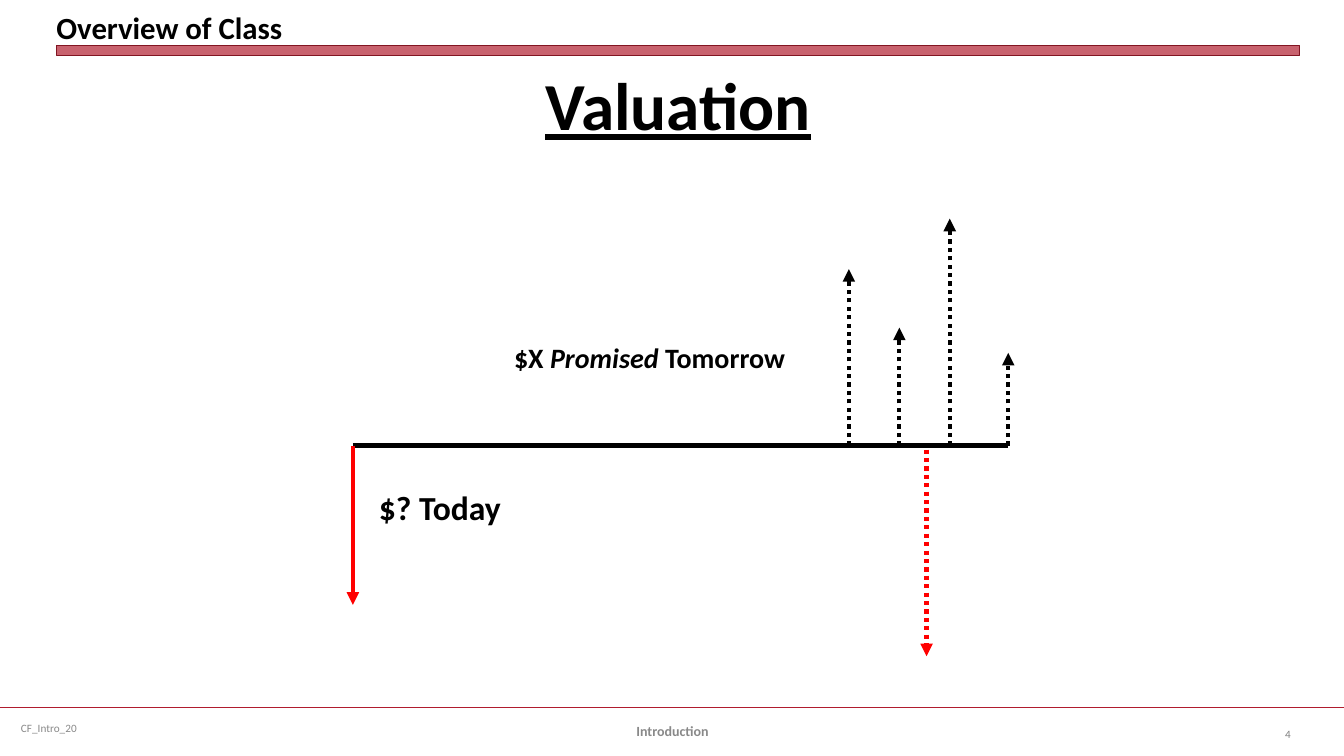
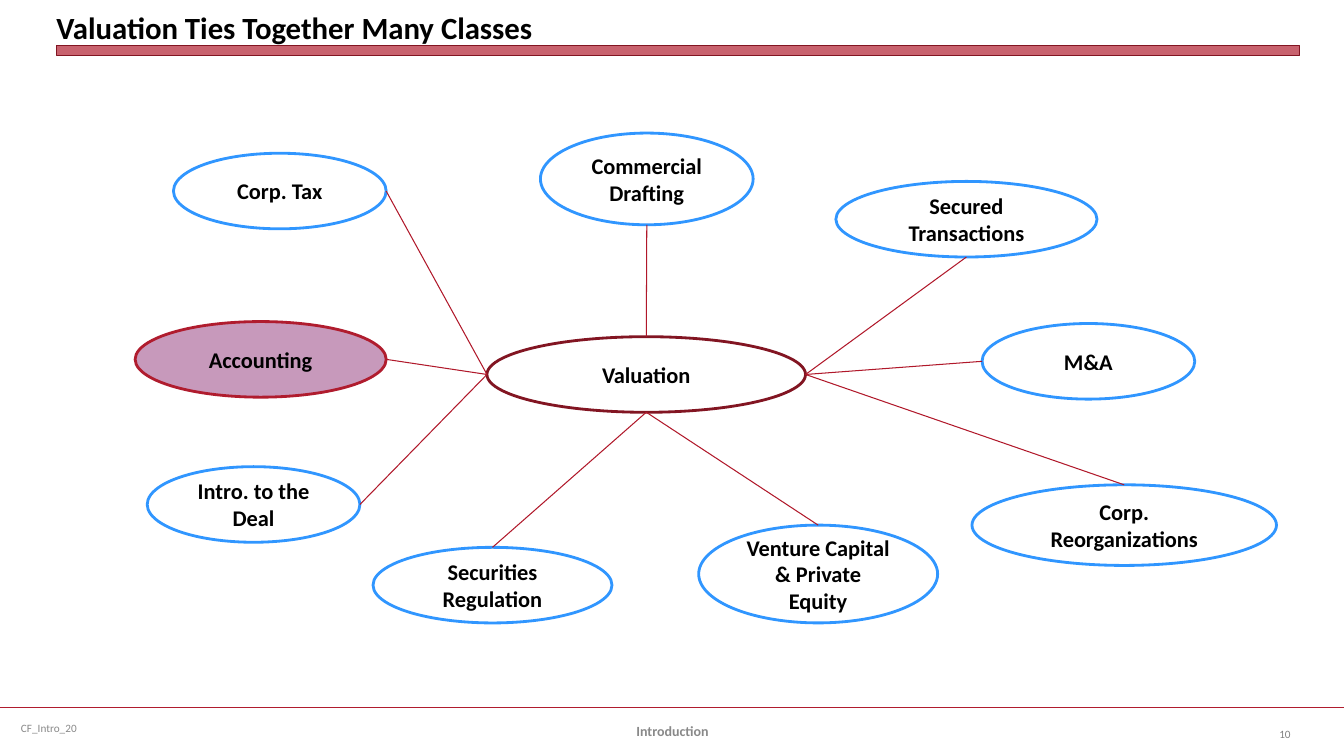
from lxml import etree
from pptx import Presentation
from pptx.dml.color import RGBColor
from pptx.enum import dml, shapes, text
from pptx.oxml.ns import qn
from pptx.util import Inches, Pt

BLACK = RGBColor(0x00, 0x00, 0x00)
RED = RGBColor(0xFF, 0x00, 0x00)
CRIMSON = RGBColor(0xB0, 0x1C, 0x2E)
LINK_RED = RGBColor(0xB0, 0x18, 0x2A)
MAROON = RGBColor(0x82, 0x15, 0x22)
BLUE = RGBColor(0x30, 0x96, 0xFF)
MAUVE = RGBColor(0xC7, 0x99, 0xBB)
FOOTER_GRAY = RGBColor(0x89, 0x89, 0x89)
NUMBER_GRAY = RGBColor(0x80, 0x80, 0x80)
LEFT, CENTER, RIGHT = text.PP_ALIGN.LEFT, text.PP_ALIGN.CENTER, text.PP_ALIGN.RIGHT
MIDDLE, BOTTOM = text.MSO_ANCHOR.MIDDLE, text.MSO_ANCHOR.BOTTOM
DOTTED = dml.MSO_LINE.ROUND_DOT

FONT = "Calibri"
WIDTH, HEIGHT = 13.33, 7.5
MARGIN, CONTENT_WIDTH = 0.56, 12.33

TITLE_FORMAT = {"size": Pt(22), "bold": True}
HEADING_FORMAT = {"size": Pt(48), "bold": True, "underline": True}
TODAY_FORMAT = {"size": Pt(24), "bold": True}
PROMISE_FORMAT = {"size": Pt(20), "bold": True}
CLASS_FORMAT = {"size": Pt(16), "bold": True}
SMALL_FORMAT = {"size": Pt(8)}
FOOTER_FORMAT = {"size": Pt(10), "bold": True}

AXIS_Y, TODAY_X, END_X = 4.42, 3.5, 10
PROMISED_FLOWS = [(8.42, 2.67), (8.92, 3.25), (9.42, 2.17), (END_X, 3.5)]
COST_X, COST_TOP, COST_BOTTOM = 9.19, 4.46, 6.51

VALUATION_BOX = (4.83, 3.34, 3.16, 0.75)
CLASSES = [
    ("M&A", (9.74, 3.21, 2.11, 0.75), "right", "left"),
    ("Corp. Reorganizations", (9.64, 4.81, 3.02, 0.8), "right", "top"),
    ("Securities Regulation", (3.7, 5.43, 2.37, 0.75), "bottom", "top"),
    ("Accounting", (1.34, 3.19, 2.49, 0.75), "left", "right"),
    ("Commercial\nDrafting", (5.36, 1.32, 2.11, 0.91), "top", "bottom"),
    ("Corp. Tax", (1.72, 1.52, 2.11, 0.75), "left", "right"),
    ("Intro. to the Deal", (1.46, 4.63, 2.11, 0.75), "left", "right"),
    ("Secured Transactions", (8.29, 1.8, 2.59, 0.75), "right", "bottom"),
    ("Venture Capital & Private Equity", (6.93, 5.21, 2.37, 0.97), "bottom", "top"),
]
HIGHLIGHTED = "Accounting"
SIDES = {"left": (0, 0.5), "right": (1, 0.5), "top": (0.5, 0), "bottom": (0.5, 1)}


def inches(values):
    return [Inches(value) for value in values]


def write(frame, content, formats, color=BLACK, align=LEFT):
    frame.text = content
    for paragraph in frame.paragraphs:
        paragraph.alignment = align
        for run in paragraph.runs:
            run.font.name = FONT
            run.font.color.rgb = color
            for name, value in formats.items():
                setattr(run.font, name, value)


def add_text(slide, box, content, formats, color=BLACK, align=LEFT, anchor=None, wrap=True):
    frame = slide.shapes.add_textbox(*inches(box)).text_frame
    frame.word_wrap = wrap
    frame.vertical_anchor = anchor
    write(frame, content, formats, color, align)
    return frame


def add_line(slide, start, end, color, width, dash=None, arrow=False):
    connector = slide.shapes.add_connector(
        shapes.MSO_CONNECTOR.STRAIGHT, *inches((*start, *end)))
    connector.line.color.rgb = color
    connector.line.width = Pt(width)
    if dash:
        connector.line.dash_style = dash
    properties = connector._element.spPr
    if arrow:
        etree.SubElement(properties.find(qn("a:ln")), qn("a:tailEnd"), type="triangle")
    etree.SubElement(properties, qn("a:effectLst"))


def add_shape(slide, kind, box, outline, width, fill=None):
    shape = slide.shapes.add_shape(kind, *inches(box))
    shape.shadow.inherit = False
    if fill is None:
        shape.fill.background()
    else:
        shape.fill.solid()
        shape.fill.fore_color.rgb = fill
    shape.line.color.rgb = outline
    shape.line.width = Pt(width)
    return shape


def add_class(slide, content, box, outline, fill=None):
    shape = add_shape(slide, shapes.MSO_SHAPE.OVAL, box, outline, 2, fill)
    write(shape.text_frame, content, CLASS_FORMAT, align=CENTER)


def side_point(box, side):
    left, top, width, height = box
    across, down = SIDES[side]
    return left + across * width, top + down * height


def add_slide(presentation, title, number):
    slide = presentation.slides.add_slide(presentation.slide_layouts[5])
    add_line(slide, (0, 7.02), (WIDTH, 7.02), CRIMSON, 1.25)
    band = add_shape(slide, shapes.MSO_SHAPE.RECTANGLE,
                     (MARGIN, 0.45, CONTENT_WIDTH, 0.1), MAROON, 0.25, CRIMSON)
    band_color = band._element.spPr.find(qn("a:solidFill"))[0]
    etree.SubElement(band_color, qn("a:alpha"), val="69000")

    placeholder = slide.shapes.title
    box = inches((MARGIN, 0.05, CONTENT_WIDTH, 0.4))
    for name, value in zip(("left", "top", "width", "height"), box):
        setattr(placeholder, name, value)
    frame = placeholder.text_frame
    frame.auto_size = text.MSO_AUTO_SIZE.NONE
    frame.vertical_anchor = BOTTOM
    for side in SIDES:
        setattr(frame, f"margin_{side}", 0)
    write(frame, title, TITLE_FORMAT)

    add_text(slide, (0.11, 7.02, 3.44, 0.4), "CF_Intro_20", SMALL_FORMAT,
             FOOTER_GRAY, anchor=MIDDLE)
    add_text(slide, (4.56, 7.05, 4.22, 0.4), "Introduction", FOOTER_FORMAT,
             FOOTER_GRAY, CENTER, MIDDLE)
    add_text(slide, (12.23, 7.08, 0.67, 0.4), number, SMALL_FORMAT,
             NUMBER_GRAY, RIGHT, MIDDLE)
    return slide


def build_timeline(presentation):
    slide = add_slide(presentation, "Overview of Class", "4")
    add_text(slide, (MARGIN, 0.58, CONTENT_WIDTH, 1), "Valuation", HEADING_FORMAT, align=CENTER)
    add_line(slide, (TODAY_X, AXIS_Y), (END_X, AXIS_Y), BLACK, 3)
    add_line(slide, (TODAY_X, AXIS_Y), (TODAY_X, 6), RED, 3, arrow=True)
    for x, tip in PROMISED_FLOWS:
        add_line(slide, (x, AXIS_Y), (x, tip), BLACK, 3, DOTTED, True)
    add_line(slide, (COST_X, COST_TOP), (COST_X, COST_BOTTOM), RED, 3, DOTTED, True)
    add_text(slide, (3.66, 4.78, 1.45, 0.5), "$? Today", TODAY_FORMAT, wrap=False)
    promise = add_text(slide, (5, 3.33, 3.67, 0.44), "$X ", PROMISE_FORMAT)
    for content, italic in (("Promised ", True), ("Tomorrow", False)):
        run = promise.paragraphs[0].add_run()
        run.text = content
        for name, value in {**PROMISE_FORMAT, "name": FONT, "italic": italic}.items():
            setattr(run.font, name, value)
        run.font.color.rgb = BLACK


def build_class_map(presentation):
    slide = add_slide(presentation, "Valuation Ties Together Many Classes", "10")
    add_class(slide, "Valuation", VALUATION_BOX, MAROON)
    for content, box, from_side, to_side in CLASSES:
        colors = (CRIMSON, MAUVE) if content == HIGHLIGHTED else (BLUE,)
        add_class(slide, content, box, *colors)
        add_line(slide, side_point(VALUATION_BOX, from_side), side_point(box, to_side),
                 LINK_RED, 0.75)


def main():
    presentation = Presentation()
    presentation.slide_width = Inches(WIDTH)
    presentation.slide_height = Inches(HEIGHT)
    build_timeline(presentation)
    build_class_map(presentation)
    presentation.save("out.pptx")


if __name__ == "__main__":
    main()
